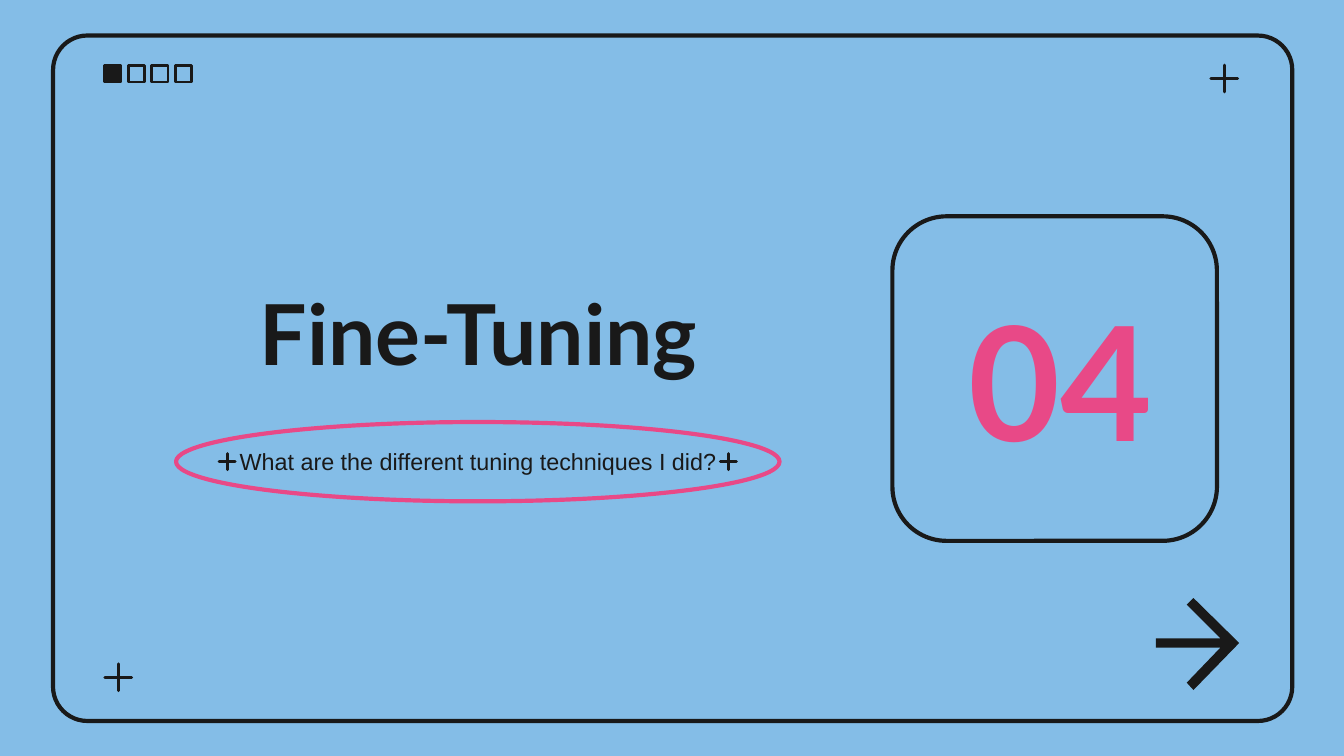
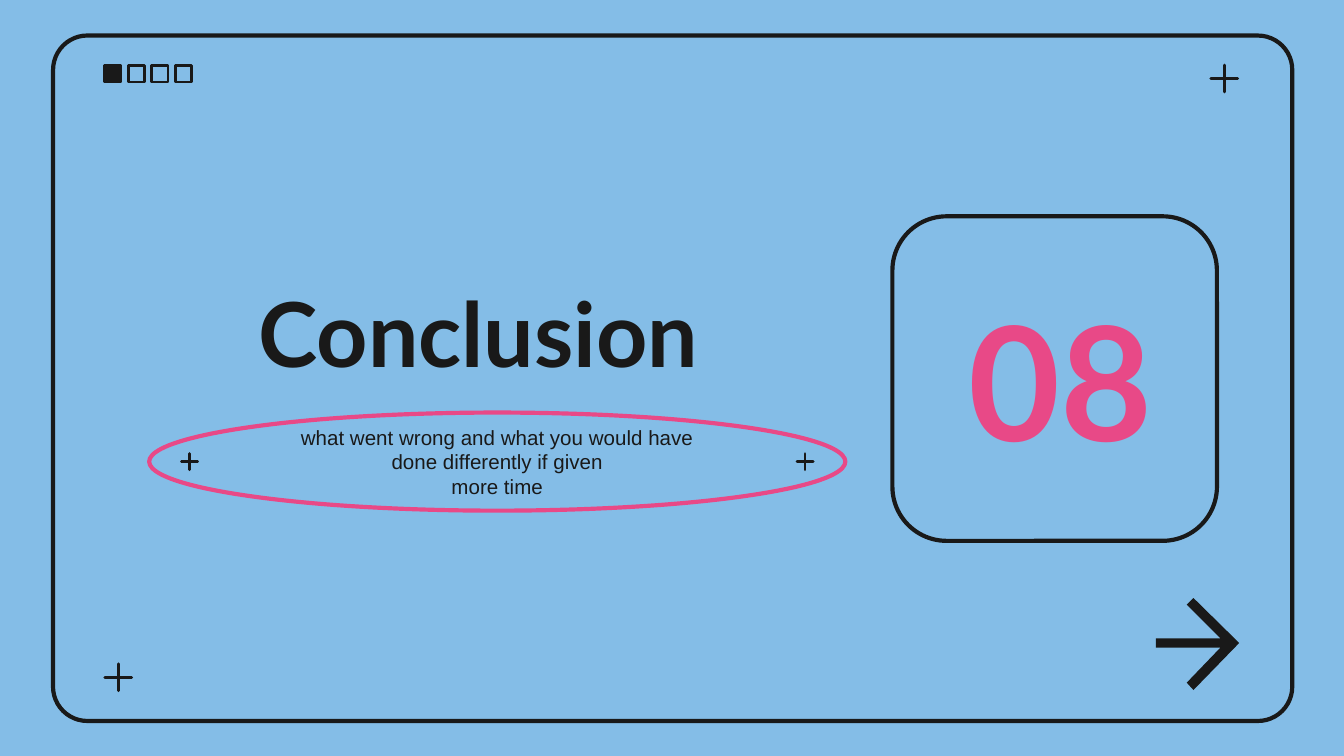
from dataclasses import dataclass

from pptx import Presentation
from pptx.dml.color import RGBColor
from pptx.enum.shapes import MSO_SHAPE
from pptx.enum.text import MSO_ANCHOR, PP_ALIGN
from pptx.shapes.autoshape import Shape
from pptx.slide import Slide
from pptx.util import Emu, Pt

RECT = MSO_SHAPE.RECTANGLE
ROUNDED = MSO_SHAPE.ROUNDED_RECTANGLE
OVAL = MSO_SHAPE.OVAL
STAR = MSO_SHAPE.STAR_4_POINT
MIDDLE = MSO_ANCHOR.MIDDLE
CENTER = PP_ALIGN.CENTER

EMU_PER_PX = 4572
SKY, INK, PINK = "84BDE7", "191919", "E84987"
HEADING_FONT, BODY_FONT = "Lato", "Arial"
THIN, THICK = 1.5, 2.25


@dataclass(frozen=True)
class Box:
    left: int
    top: int
    width: int
    height: int

    def emu(self) -> tuple[Emu, ...]:
        return tuple(px(v) for v in (self.left, self.top, self.width, self.height))


@dataclass(frozen=True)
class Outline:
    kind: MSO_SHAPE
    box: Box
    color: str = INK
    weight: float = THICK
    filled: bool = False
    corner: float | None = None


@dataclass(frozen=True)
class Label:
    box: Box
    paragraphs: tuple[str, ...]
    size: float
    color: str = INK
    font: str = HEADING_FONT
    bold: bool = True
    side_inset: int = 20


@dataclass(frozen=True)
class Section:
    number: str
    title: str
    title_size: float
    subtitle: tuple[str, ...]
    subtitle_size: float
    subtitle_box: Box
    ellipse: Box
    plus_lefts: tuple[int, int]


FRAME = Outline(ROUNDED, Box(79, 53, 1844, 1020), corner=0.05)
NUMBER_FRAME = Outline(ROUNDED, Box(1328, 322, 483, 483), corner=0.167)
TITLE_BOX = Box(184, 383, 1056, 222)
NUMBER_BOX = Box(1336, 374, 484, 378)
CORNER_PLUSES = ((156, 988), (1802, 97))
ARROW = ((1776, 890), (1766, 900), (1816, 950), (1720, 950), (1720, 964),
         (1816, 964), (1766, 1016), (1776, 1027), (1844, 957))

SECTIONS = (
    Section("04", "Fine-Tuning", 45,
            ("What are the different tuning techniques I did?",), 12.5,
            Box(326, 641, 770, 90), Box(262, 628, 898, 118), (326, 1072)),
    Section("08", "Conclusion", 48,
            ("what went wrong and what you would have done differently if given",
             "more time"), 11,
            Box(402, 631, 676, 112), Box(222, 614, 1036, 146), (270, 1186)),
)


def px(value: int) -> Emu:
    return Emu(value * EMU_PER_PX)


def rgb(color: str) -> RGBColor:
    return RGBColor.from_string(color)


def apply(target: object, values: dict[str, object]) -> None:
    for attribute, value in values.items():
        setattr(target, attribute, value)


def paint(shape: Shape, color: str) -> None:
    shape.fill.solid()
    shape.fill.fore_color.rgb = rgb(color)


def draw_outline(slide: Slide, item: Outline) -> None:
    shape = slide.shapes.add_shape(item.kind, *item.box.emu())
    shape.shadow.inherit = False
    if item.corner is not None:
        shape.adjustments[0] = item.corner
    if item.filled:
        paint(shape, item.color)
    else:
        shape.fill.background()
    shape.line.color.rgb = rgb(item.color)
    shape.line.width = Pt(item.weight)


def draw_plus(slide: Slide, left: int, top: int, side: int) -> None:
    draw_outline(slide, Outline(STAR, Box(left, top, side, side),
                                weight=THIN, filled=True, corner=0))


def draw_label(slide: Slide, label: Label) -> None:
    frame = slide.shapes.add_textbox(*label.box.emu()).text_frame
    apply(frame, {
        "word_wrap": True,
        "vertical_anchor": MIDDLE,
        "margin_left": px(label.side_inset),
        "margin_right": px(label.side_inset),
        "margin_top": px(20),
        "margin_bottom": px(20),
    })
    for index, text in enumerate(label.paragraphs):
        paragraph = frame.add_paragraph() if index else frame.paragraphs[0]
        paragraph.alignment = CENTER
        run = paragraph.add_run()
        run.text = text
        apply(run.font, {"size": Pt(label.size), "name": label.font, "bold": label.bold})
        run.font.color.rgb = rgb(label.color)


def draw_arrow(slide: Slide) -> None:
    builder = slide.shapes.build_freeform(*ARROW[0], scale=EMU_PER_PX)
    builder.add_line_segments(ARROW[1:], close=True)
    arrow = builder.convert_to_shape()
    arrow.shadow.inherit = False
    paint(arrow, INK)
    arrow.line.fill.background()


def draw_backdrop(slide: Slide) -> None:
    slide.background.fill.solid()
    slide.background.fill.fore_color.rgb = rgb(SKY)
    draw_outline(slide, FRAME)
    for index in range(4):
        square = Box(156 + 35 * index, 98, 24, 24)
        draw_outline(slide, Outline(RECT, square, weight=THIN, filled=index == 0))
    for left, top in CORNER_PLUSES:
        draw_plus(slide, left, top, 40)


def draw_section(slide: Slide, section: Section) -> None:
    draw_backdrop(slide)
    draw_outline(slide, Outline(OVAL, section.ellipse, PINK))
    draw_outline(slide, NUMBER_FRAME)
    draw_label(slide, Label(TITLE_BOX, (section.title,), section.title_size))
    draw_label(slide, Label(NUMBER_BOX, (section.number,), 85, PINK, side_inset=0))
    draw_label(slide, Label(section.subtitle_box, section.subtitle,
                            section.subtitle_size, font=BODY_FONT, bold=False))
    draw_arrow(slide)
    for left in section.plus_lefts:
        draw_plus(slide, left, 675, 24)


def main() -> None:
    deck = Presentation()
    apply(deck, {"slide_width": px(2000), "slide_height": px(1125)})
    blank = deck.slide_layouts[6]
    for section in SECTIONS:
        draw_section(deck.slides.add_slide(blank), section)
    deck.save("out.pptx")


if __name__ == "__main__":
    main()
